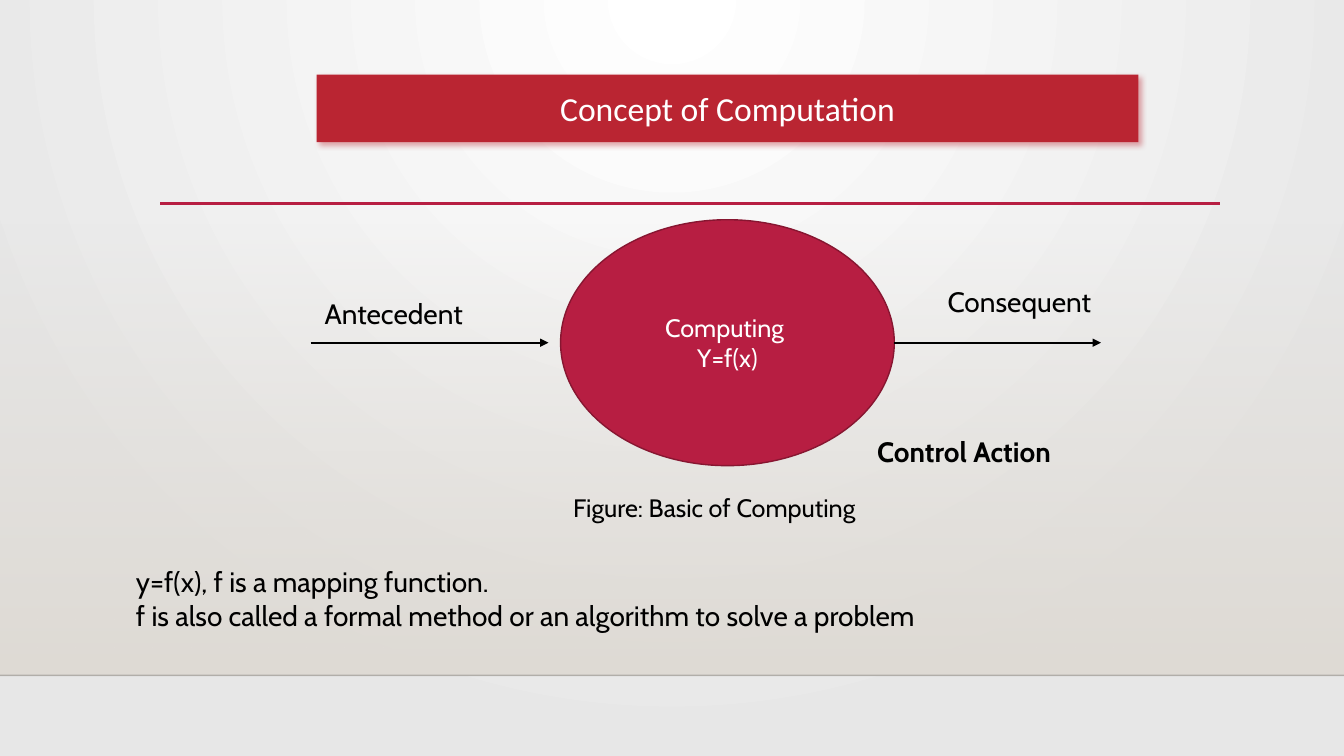
from lxml import etree
from pptx import Presentation
from pptx import util as u
from pptx.dml.color import RGBColor
from pptx.enum import shapes, text
from pptx.oxml import parse_xml
from pptx.oxml.ns import nsdecls, qn

PX = 9144
SLIDE_WIDTH, SLIDE_HEIGHT = 1333, 750
FLOOR_TOP, FLOOR_BOTTOM = 221, 670
WHITE = RGBColor(0xFF, 0xFF, 0xFF)
BLACK = RGBColor(0x00, 0x00, 0x00)
PALE = RGBColor(0xE7, 0xE7, 0xE7)
SAND = RGBColor(0xDF, 0xDB, 0xD5)
CRIMSON = RGBColor(0xB7, 0x1E, 0x42)
DARK_CRIMSON = RGBColor(0x87, 0x16, 0x31)
BANNER_RED = RGBColor(0xBA, 0x25, 0x32)


def px(*lengths):
    return [u.Emu(length * PX) for length in lengths]


def set_alpha(color_element, percent):
    etree.SubElement(color_element, qn("a:alpha")).set("val", str(percent * 1000))


def write(shape, lines, size, color, font="Cabin", align=text.PP_ALIGN.LEFT, bold=False):
    frame = shape.text_frame
    frame.text = "\n".join(lines)
    frame.word_wrap = True
    frame.auto_size = text.MSO_AUTO_SIZE.NONE
    frame.vertical_anchor = text.MSO_ANCHOR.MIDDLE
    for paragraph in frame.paragraphs:
        paragraph.alignment = align
        paragraph.line_spacing = 1.0
        paragraph.space_before = u.Pt(0)
        for run in paragraph.runs:
            run.font.name = font
            run.font.size = u.Pt(size)
            run.font.bold = bold
            run.font.color.rgb = color


def add_label(slide, box, lines, size=20, **style):
    write(slide.shapes.add_textbox(*px(*box)), lines, size, BLACK, **style)


def add_line(slide, left, right, y, color, width, arrow=False):
    line = slide.shapes.add_connector(
        shapes.MSO_CONNECTOR.STRAIGHT, *px(left, y, right, y))
    line.line.color.rgb = color
    line.line.width = u.Pt(width)
    if arrow:
        etree.SubElement(line.line._get_or_add_ln(), qn("a:tailEnd")).set("type", "triangle")
    etree.SubElement(line._element.spPr, qn("a:effectLst"))
    return line


def draw_backdrop(slide):
    slide.background.fill.solid()
    properties = slide._element.cSld.find(qn("p:bg")).find(qn("p:bgPr"))
    properties.replace(properties[0], parse_xml(
        f'<a:gradFill {nsdecls("a")} rotWithShape="1"><a:gsLst>'
        f'<a:gs pos="0"><a:srgbClr val="{WHITE}"/></a:gs>'
        f'<a:gs pos="100000"><a:srgbClr val="{PALE}"/></a:gs></a:gsLst>'
        '<a:path path="circle"><a:fillToRect l="43000" t="0" r="43000" b="100000"/></a:path>'
        '</a:gradFill>'))
    floor = slide.shapes.add_shape(
        shapes.MSO_SHAPE.RECTANGLE,
        *px(0, FLOOR_TOP, SLIDE_WIDTH, FLOOR_BOTTOM - FLOOR_TOP))
    floor.shadow.inherit = False
    floor.line.fill.background()
    floor.fill.gradient()
    floor.fill.gradient_angle = 270
    for stop, position in zip(floor.fill.gradient_stops, (0, 1)):
        stop.position = position
        stop.color.rgb = SAND
    first_color = next(floor._element.spPr.iter(qn("a:srgbClr")))
    set_alpha(first_color, 0)
    edge = add_line(slide, 0, SLIDE_WIDTH, FLOOR_BOTTOM, BLACK, 1)
    set_alpha(next(edge._element.spPr.iter(qn("a:srgbClr"))), 20)
    add_line(slide, 159, 1210, 202, CRIMSON, 2.5)


def draw_banner(slide, box, title):
    banner = slide.shapes.title
    banner.left, banner.top, banner.width, banner.height = px(*box)
    properties = banner._element.spPr
    properties.append(parse_xml(
        f'<a:prstGeom {nsdecls("a")} prst="roundRect"><a:avLst>'
        '<a:gd name="adj" fmla="val 16700"/></a:avLst></a:prstGeom>'))
    banner.fill.solid()
    banner.fill.fore_color.rgb = BANNER_RED
    properties.append(parse_xml(
        f'<a:effectLst {nsdecls("a")}><a:outerShdw blurRad="{u.Pt(4)}" dist="{u.Pt(3)}" '
        f'dir="2700000" algn="tl" rotWithShape="0"><a:srgbClr val="{BANNER_RED}">'
        '<a:alpha val="40000"/></a:srgbClr></a:outerShdw></a:effectLst>'))
    write(banner, [title], 24, WHITE, font="Calibri", align=text.PP_ALIGN.CENTER)


def draw_diagram(slide, box):
    left, top, width, height = box
    middle, right = top + height // 2, left + width
    ellipse = slide.shapes.add_shape(shapes.MSO_SHAPE.OVAL, *px(*box))
    ellipse.shadow.inherit = False
    ellipse.fill.solid()
    ellipse.fill.fore_color.rgb = CRIMSON
    ellipse.line.color.rgb = DARK_CRIMSON
    ellipse.line.width = u.Pt(1)
    write(ellipse, ["Computing ", "Y=f(x)"], 18, WHITE, align=text.PP_ALIGN.CENTER)
    add_line(slide, left - 248, left - 12, middle, BLACK, 1.5, arrow=True)
    add_line(slide, right, right + 205, middle, BLACK, 1.5, arrow=True)
    add_label(slide, (left - 244, middle - 45, 181, 31), ["Antecedent"])
    add_label(slide, (right + 43, middle - 57, 181, 31), ["Consequent"])
    add_label(slide, (right - 27, top + 208, 232, 44), ["Control Action"], bold=True)
    add_label(slide, (left - 49, top + 263, 403, 44), ["Figure: Basic of Computing"],
              size=18, align=text.PP_ALIGN.CENTER)


def main():
    presentation = Presentation()
    presentation.slide_width, presentation.slide_height = px(SLIDE_WIDTH, SLIDE_HEIGHT)
    slide = presentation.slides.add_slide(presentation.slide_layouts[5])
    draw_backdrop(slide)
    draw_diagram(slide, (556, 218, 331, 244))
    add_label(slide, (125, 531, 1105, 125), [
        "y=f(x), f is a mapping function.",
        "f is also called a formal method or an algorithm to solve a problem"])
    draw_banner(slide, (314, 74, 815, 67), "Concept of Computation")
    banner = slide.shapes.title._element
    slide.shapes._spTree.append(banner)
    presentation.save("out.pptx")


if __name__ == "__main__":
    main()
